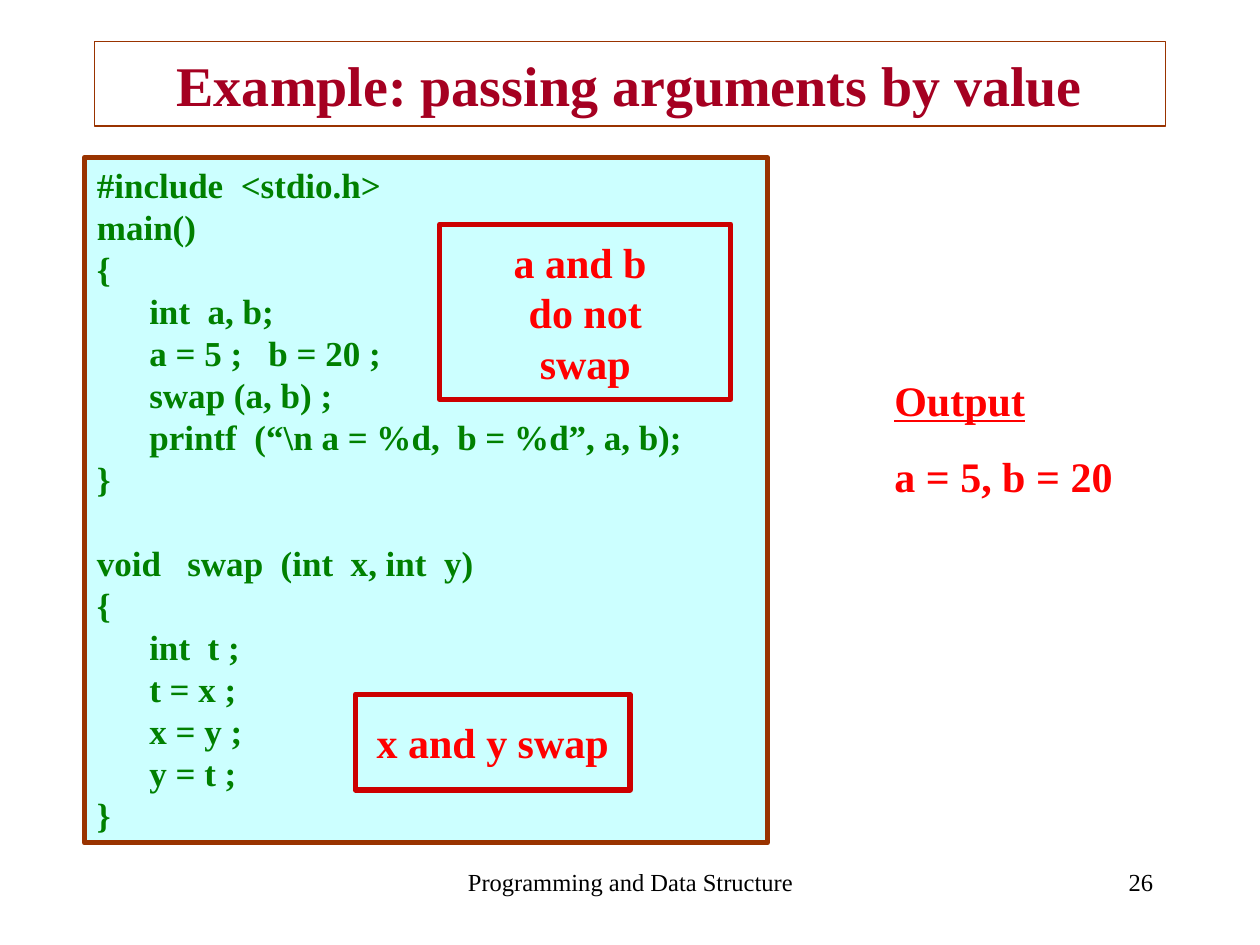
from pptx import Presentation
from pptx.dml.color import RGBColor
from pptx.enum.shapes import MSO_SHAPE
from pptx.enum.text import MSO_ANCHOR, PP_ALIGN
from pptx.util import Inches, Pt

COLORS = {
    "black": "000000", "title": "A50021", "brown": "993300",
    "cyan": "CCFFFF", "code": "008000", "red": "FF0000", "edge": "CC0000",
}
FACE = "Times New Roman"
MAIN = """#include  <stdio.h>
main()
{
      int  a, b;
      a = 5 ;   b = 20 ;
      swap (a, b) ;
      printf  (“\\n a = %d,  b = %d”, a, b);
}""".split("\n")
SWAP = """void   swap  (int  x, int  y)
{
      int  t ;
      t = x ;
      x = y ;
      y = t ;
}""".split("\n")


def color(name):
    return RGBColor.from_string(COLORS[name])


def write(frame, lines, size, ink, bold=True, align=PP_ALIGN.LEFT):
    """Fill the frame with one paragraph a line, leading 1.2 times the size."""
    for i, line in enumerate(lines):
        para = frame.paragraphs[0] if i == 0 else frame.add_paragraph()
        para.alignment = align
        para.line_spacing = Pt(size * 1.2)
        run = para.add_run()
        run.text = line
        style = {"name": FACE, "size": Pt(size), "bold": bold}
        for key, value in style.items():
            setattr(run.font, key, value)
        run.font.color.rgb = color(ink)
    return frame.paragraphs


def edge(shape, ink, width):
    shape.line.color.rgb = color(ink)
    shape.line.width = Pt(width)


def add_title(slide, text):
    title = slide.shapes.title
    spot = {"left": 0.75, "top": 0.33, "width": 8.5, "height": 0.67}
    for key, value in spot.items():
        setattr(title, key, Inches(value))
    edge(title, "brown", 0.75)
    title.text_frame.vertical_anchor = MSO_ANCHOR.MIDDLE
    write(title.text_frame, [text], 32, "title", align=PP_ALIGN.CENTER)


def add_text(slide, spot, lines, size, ink, **style):
    box = slide.shapes.add_textbox(*map(Inches, spot))
    box.text_frame.word_wrap = True
    return write(box.text_frame, lines, size, ink, **style)


def add_panel(slide, spot, line, anchor, wrap):
    """Add a cyan box with a thick edge and return its text frame."""
    box = slide.shapes.add_shape(MSO_SHAPE.RECTANGLE, *map(Inches, spot))
    box.shadow.inherit = False
    box.fill.solid()
    box.fill.fore_color.rgb = color("cyan")
    edge(box, line, 3)
    box.text_frame.vertical_anchor = anchor
    box.text_frame.word_wrap = wrap
    return box.text_frame


def add_code(slide, spot, *blocks):
    """Add the listing, with a gap of one line between blocks."""
    frame = add_panel(slide, spot, "brown", MSO_ANCHOR.TOP, True)
    paras = write(frame, sum(blocks, []), 20, "code")
    start = 0
    for block in blocks[:-1]:
        start += len(block)
        paras[start].space_before = Pt(24)


def add_note(slide, spot, lines):
    frame = add_panel(slide, spot, "edge", MSO_ANCHOR.MIDDLE, False)
    write(frame, lines, 24, "red", align=PP_ALIGN.CENTER)


def add_output(slide, spot, head, result):
    paras = add_text(slide, spot, [head, result], 24, "red")
    paras[0].runs[0].font.underline = True
    paras[1].space_before = Pt(15)


def main():
    deck = Presentation()
    deck.slide_width, deck.slide_height = Inches(10), Inches(7.5)
    slide = deck.slides.add_slide(deck.slide_layouts[5])
    add_text(slide, (3.42, 6.83, 3.17, 0.5), ["Programming and Data Structure"],
             14, "black", bold=False, align=PP_ALIGN.CENTER)
    add_text(slide, (7.17, 6.83, 2.08, 0.5), ["26"],
             14, "black", bold=False, align=PP_ALIGN.RIGHT)
    add_title(slide, "Example: passing arguments by value")
    add_code(slide, (0.67, 1.25, 5.42, 5.44), MAIN, SWAP)
    add_output(slide, (7, 2.92, 2.5, 1.11), "Output", "a = 5, b = 20")
    add_note(slide, (2.82, 5.51, 2.18, 0.76), ["x and y swap"])
    add_note(slide, (3.49, 1.78, 2.31, 1.39), ["a and b ", "do not", "swap"])
    deck.save("out.pptx")


if __name__ == "__main__":
    main()
